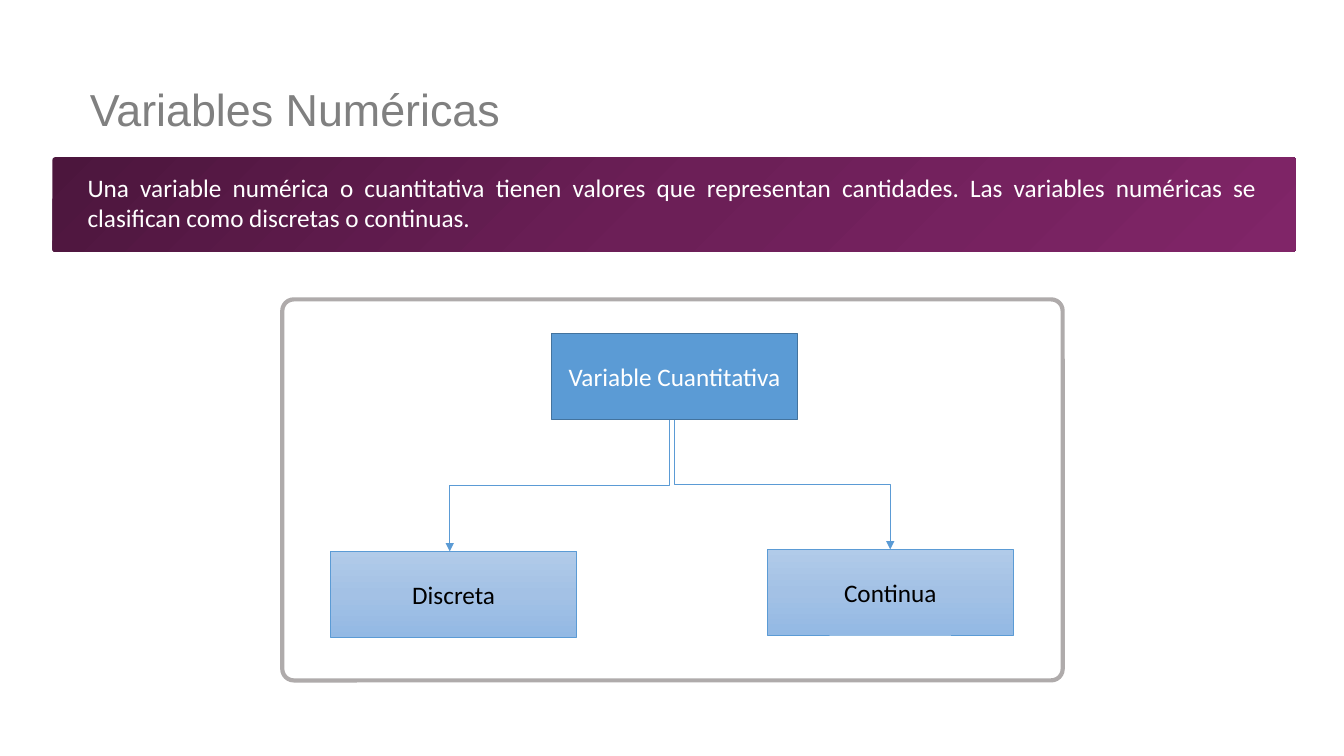
from copy import deepcopy

from lxml import etree
from pptx import Presentation
from pptx.dml.color import RGBColor
from pptx.enum.shapes import MSO_CONNECTOR, MSO_SHAPE
from pptx.enum.text import MSO_ANCHOR, PP_ALIGN
from pptx.oxml.ns import qn
from pptx.util import Inches, Pt

RECTANGLE = MSO_SHAPE.RECTANGLE
ROUNDED = MSO_SHAPE.ROUNDED_RECTANGLE
ELBOW = MSO_CONNECTOR.ELBOW
TOP, MIDDLE = MSO_ANCHOR.TOP, MSO_ANCHOR.MIDDLE
CENTER, JUSTIFY = PP_ALIGN.CENTER, PP_ALIGN.JUSTIFY
TITLE_ONLY = 5

BLUE = "5B9BD5"
PURPLE_GRADIENT = ("4C163D", "6C1F57", "802568")
BLUE_GRADIENT = ("B1CBE9", "A3C1E5", "93B9E4")


def color(value):
    return RGBColor.from_string(value)


class SlideBuilder:
    """Holds the text style and the slide being filled."""

    font = "Calibri"
    size = 18

    def __init__(self, slide):
        self.slide = slide

    def set_text(self, shape, text, text_color, align, anchor=MIDDLE, font=None, size=None):
        frame = shape.text_frame
        frame.word_wrap = True
        frame.vertical_anchor = anchor
        paragraph = frame.paragraphs[0]
        paragraph.text = text
        paragraph.alignment = align
        paragraph.font.name = font or self.font
        paragraph.font.size = Pt(size or self.size)
        paragraph.font.color.rgb = color(text_color)
        return paragraph

    def title(self, text, left, top, width, height):
        title = self.slide.shapes.title
        title.left, title.top = Inches(left), Inches(top)
        title.width, title.height = Inches(width), Inches(height)
        paragraph = self.set_text(title, text, "808080", JUSTIFY, font="Arial", size=32)
        paragraph.line_spacing = 1.5

    def text(self, text, left, top, width, height):
        box = self.slide.shapes.add_textbox(
            Inches(left), Inches(top), Inches(width), Inches(height))
        self.set_text(box, text, "FFFFFF", JUSTIFY, TOP)

    def shape(self, kind, left, top, width, height, fill, line=None, line_width=1):
        """Add a shape; fill is one colour or three gradient colours."""
        shape = self.slide.shapes.add_shape(
            kind, Inches(left), Inches(top), Inches(width), Inches(height))
        shape.shadow.inherit = False
        if kind == ROUNDED:
            shape.adjustments[0] = 0.03
        if isinstance(fill, str):
            shape.fill.solid()
            shape.fill.fore_color.rgb = color(fill)
        else:
            self.gradient(shape, fill)
        if line:
            shape.line.color.rgb = color(line)
            shape.line.width = Pt(line_width)
        else:
            shape.line.fill.background()
        return shape

    def gradient(self, shape, colors):
        shape.fill.gradient()
        stops = shape._element.spPr.find(qn("a:gradFill")).find(qn("a:gsLst"))
        stops.append(deepcopy(stops[0]))
        for stop, value, position in zip(shape.fill.gradient_stops, colors, (0, 0.5, 1)):
            stop.color.rgb = color(value)
            stop.position = position
        # python-pptx measures the angle counter-clockwise
        shape.fill.gradient_angle = 315 if colors == PURPLE_GRADIENT else 270

    def node(self, text, left, top, fill, line, line_width, text_color):
        shape = self.shape(RECTANGLE, left, top, 2.44, 0.85, fill, line, line_width)
        self.set_text(shape, text, text_color, CENTER)

    def branch(self, start_x, start_y, end_x, end_y):
        """Add an elbow arrow that leaves downwards and arrives downwards."""
        drop, span = end_y - start_y, abs(end_x - start_x)
        left = (start_x + end_x - drop) / 2
        top = (start_y + end_y - span) / 2
        to_right = end_x > start_x
        ends = (left + drop, left) if to_right else (left, left + drop)
        connector = self.slide.shapes.add_connector(
            ELBOW, Inches(ends[0]), Inches(top), Inches(ends[1]), Inches(top + span))
        properties = connector._element.spPr
        quarter_turns = 3 if to_right else 1
        properties.find(qn("a:xfrm")).set("rot", str(quarter_turns * 5400000))
        connector.line.color.rgb = color(BLUE)
        connector.line.width = Pt(0.5)
        line = properties.find(qn("a:ln"))
        etree.SubElement(line, qn("a:tailEnd"), type="triangle")
        etree.SubElement(properties, qn("a:effectLst"))


def main():
    presentation = Presentation()
    presentation.slide_width = Inches(13.33)
    presentation.slide_height = Inches(7.5)
    layout = presentation.slide_layouts[TITLE_ONLY]
    builder = SlideBuilder(presentation.slides.add_slide(layout))

    builder.shape(ROUNDED, 2.8, 2.97, 7.74, 3.78, "FFFFFF", "AFABAB", 3)
    builder.shape(ROUNDED, 0.52, 1.56, 12.33, 0.94, PURPLE_GRADIENT)
    builder.title("Variables Numéricas", 0.79, 0.66, 11.79, 0.57)
    builder.text(
        "Una variable numérica o cuantitativa tienen valores que representan "
        "cantidades. Las variables numéricas se clasifican como discretas o continuas.",
        0.77, 1.66, 11.79, 0.71)

    builder.node("Variable Cuantitativa", 5.47, 3.31, BLUE, "43739E", 1, "FFFFFF")
    for text, left, top, start_x, end_x in (
        ("Discreta", 3.28, 5.47, 6.64, 4.46),
        ("Continua", 7.61, 5.45, 6.69, 8.83),
    ):
        builder.node(text, left, top, BLUE_GRADIENT, BLUE, 0.5, "000000")
        builder.branch(start_x, 4.17, end_x, top)

    presentation.save("out.pptx")


if __name__ == "__main__":
    main()
